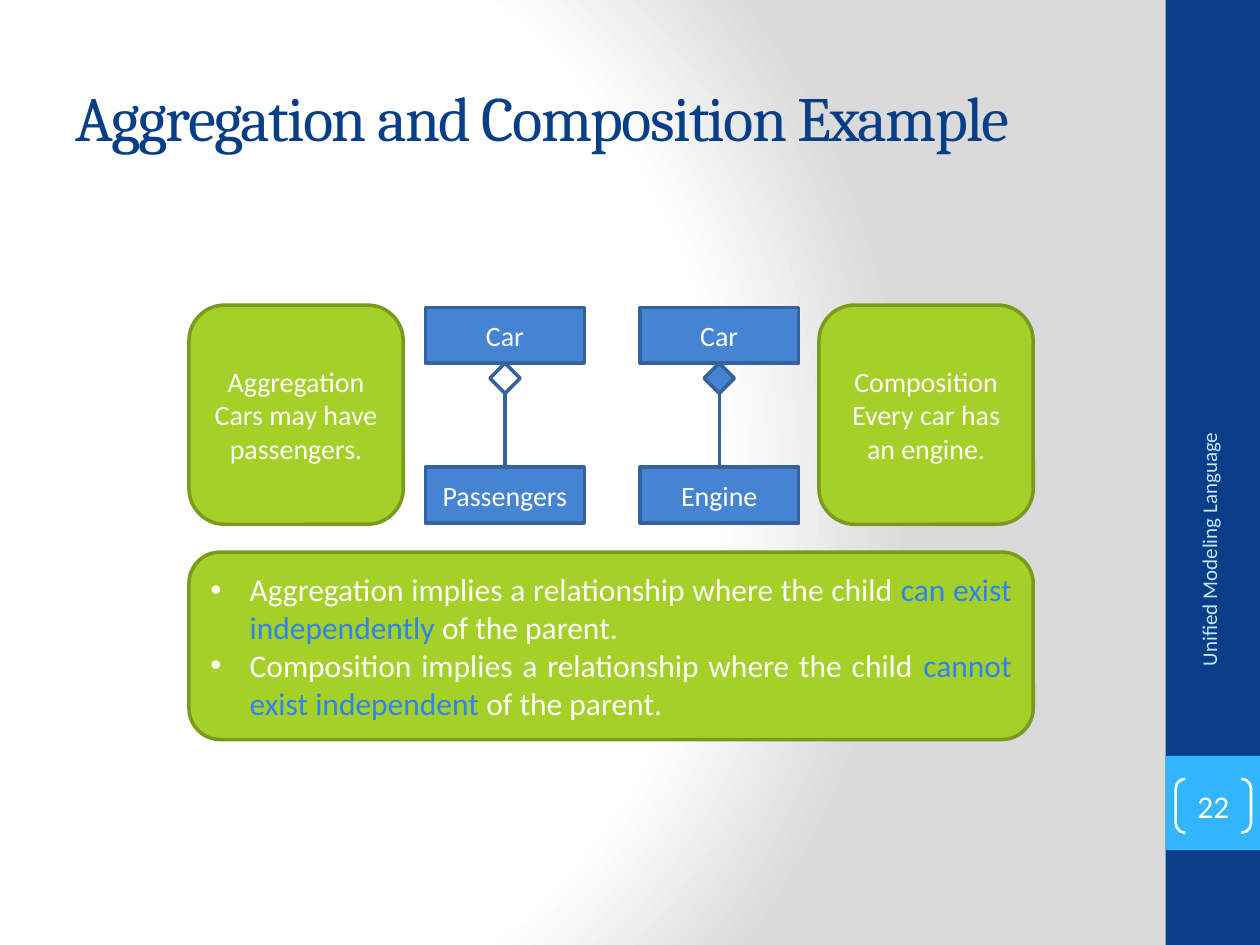
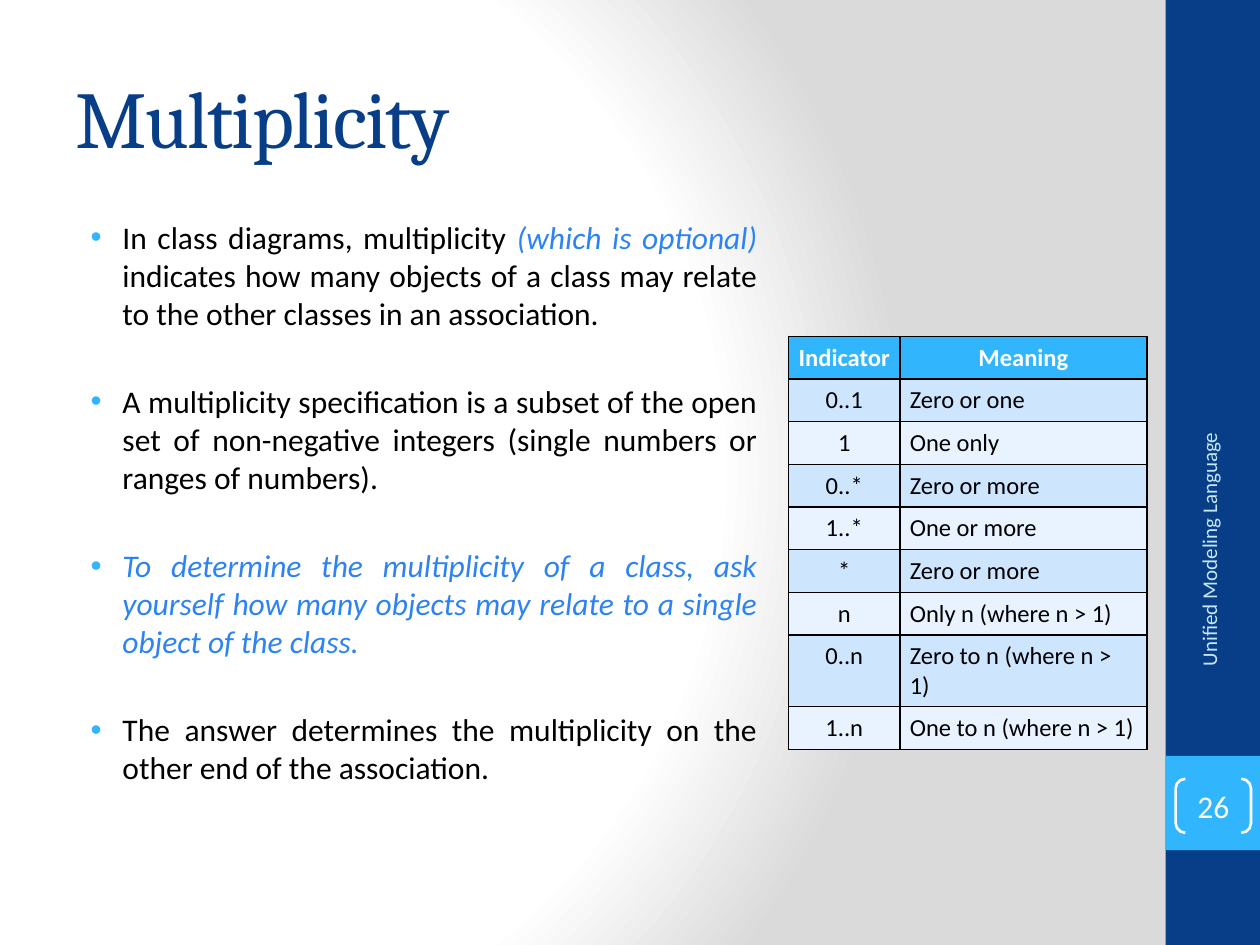
from dataclasses import dataclass

from lxml import etree
from pptx import Presentation
from pptx.dml.color import RGBColor
from pptx.enum.shapes import MSO_CONNECTOR, MSO_SHAPE
from pptx.enum.text import MSO_ANCHOR, MSO_AUTO_SIZE, PP_ALIGN
from pptx.oxml import parse_xml
from pptx.oxml.ns import qn
from pptx.util import Cm, Pt

RECTANGLE = MSO_SHAPE.RECTANGLE
ROUNDED = MSO_SHAPE.ROUNDED_RECTANGLE
DIAMOND = MSO_SHAPE.DIAMOND
BRACKETS = MSO_SHAPE.DOUBLE_BRACKET
STRAIGHT = MSO_CONNECTOR.STRAIGHT
MIDDLE = MSO_ANCHOR.MIDDLE
TOP = MSO_ANCHOR.TOP
LEFT, CENTER, RIGHT, JUSTIFY = PP_ALIGN.LEFT, PP_ALIGN.CENTER, PP_ALIGN.RIGHT, PP_ALIGN.JUSTIFY
NO_AUTOFIT = MSO_AUTO_SIZE.NONE

NAVY = RGBColor(0x07, 0x3E, 0x87)
SKY = RGBColor(0x31, 0xB6, 0xFD)
PALE_SKY = RGBColor(0xC6, 0xE7, 0xFC)
GREEN = RGBColor(0xA5, 0xD0, 0x28)
DARK_GREEN = RGBColor(0x7A, 0x9A, 0x1E)
BLUE = RGBColor(0x45, 0x84, 0xD3)
DARK_BLUE = RGBColor(0x33, 0x62, 0x9C)
HIGHLIGHT = RGBColor(0x2D, 0x83, 0xF4)
ROW_TINTS = (RGBColor(0xCE, 0xE5, 0xFE), RGBColor(0xE8, 0xF3, 0xFF))
WHITE = RGBColor(0xFF, 0xFF, 0xFF)
BLACK = RGBColor(0, 0, 0)

BODY_FONT = "Calibri"
TITLE_FONT = "Cambria"
DRAWING_NS = "http://schemas.openxmlformats.org/drawingml/2006/main"
BACKGROUND = f"""<a:gradFill xmlns:a="{DRAWING_NS}" rotWithShape="1"><a:gsLst>
<a:gs pos="0"><a:srgbClr val="FFFFFF"/></a:gs>
<a:gs pos="75000"><a:srgbClr val="FFFFFF"/></a:gs>
<a:gs pos="100000"><a:srgbClr val="DADADA"/></a:gs></a:gsLst>
<a:path path="circle"><a:fillToRect l="20000" t="50000" r="100000" b="50000"/></a:path>
</a:gradFill>"""


@dataclass(frozen=True)
class Area:
    left: float
    top: float
    width: float
    height: float

    def lengths(self) -> tuple:
        return Cm(self.left), Cm(self.top), Cm(self.width), Cm(self.height)


@dataclass(frozen=True)
class Span:
    text: str
    emphasis: bool = False


@dataclass(frozen=True)
class TextStyle:
    size: float
    color: RGBColor
    align: PP_ALIGN = CENTER
    anchor: MSO_ANCHOR = MIDDLE
    font: str = BODY_FONT
    bold: bool = False
    italic_emphasis: bool = False
    gap: float = 0


@dataclass(frozen=True)
class Bullet:
    margin: float
    hanging: float
    color: RGBColor


@dataclass(frozen=True)
class Relationship:
    heading: str
    description: str
    child: str
    callout_left: float
    class_left: float
    diamond_fill: RGBColor | None


CLASS_STYLE = TextStyle(16, WHITE)
CLASS_WIDTH, CLASS_HEIGHT = 3.2, 1.12
PARENT_TOP, CHILD_TOP = 6.2, 9.42
DIAMOND_SIZE = 0.61

RELATIONSHIPS = (
    Relationship("Aggregation", "Cars may have passengers.", "Passengers", 3.81, 8.58, None),
    Relationship("Composition", "Every car has an engine.", "Engine", 16.51, 12.9, BLUE),
)

IMPLICATIONS = (
    (Span("Aggregation implies a relationship where the child "),
     Span("can exist independently", True), Span(" of the parent.")),
    (Span("Composition implies a relationship where the child "),
     Span("cannot exist independent", True), Span(" of the parent.")),
)

MULTIPLICITY_POINTS = (
    (Span("In class diagrams, multiplicity "), Span("(which is optional)", True),
     Span(" indicates how many objects of a class may relate to the other classes "
          "in an association.")),
    (Span("A multiplicity specification is a subset of the open set of non-negative "
          "integers (single numbers or ranges of numbers)."),),
    (Span("To determine the multiplicity of a class, ask yourself how many objects may "
          "relate to a single object of the class.", True),),
    (Span("The answer determines the multiplicity on the other end of the association."),),
)

INDICATORS = (
    ("Indicator", "Meaning"),
    ("0..1", "Zero or one"),
    ("1", "One only"),
    ("0..*", "Zero or more"),
    ("1..*", "One or more"),
    ("*", "Zero or more"),
    ("n", "Only n (where n > 1)"),
    ("0..n", "Zero to n (where n > 1)"),
    ("1..n", "One to n (where n > 1)"),
)


def add_bullet(para, bullet: Bullet) -> None:
    properties = para._p.get_or_add_pPr()
    properties.set("marL", str(Cm(bullet.margin)))
    properties.set("indent", str(-Cm(bullet.hanging)))
    color = etree.SubElement(properties, qn("a:buClr"))
    etree.SubElement(color, qn("a:srgbClr"), val=str(bullet.color))
    etree.SubElement(properties, qn("a:buFont"), typeface="Arial")
    etree.SubElement(properties, qn("a:buChar"), char="•")


def write(frame, paragraphs: tuple, style: TextStyle, bullet: Bullet | None = None) -> None:
    frame.word_wrap = True
    frame.vertical_anchor = style.anchor
    for index, spans in enumerate(paragraphs):
        para = frame.paragraphs[0] if index == 0 else frame.add_paragraph()
        if bullet:
            add_bullet(para, bullet)
        para.alignment = style.align
        if index and style.gap:
            para.space_before = Pt(style.gap)
        para.font.name = style.font
        para.font.size = Pt(style.size)
        para.font.bold = style.bold
        para.font.color.rgb = style.color
        for span in spans:
            run = para.add_run()
            run.text = span.text
            if span.emphasis:
                run.font.color.rgb = HIGHLIGHT
                run.font.italic = style.italic_emphasis


def plain(*lines: str) -> tuple:
    return tuple((Span(line),) for line in lines)


def add_box(page, preset, area: Area, fill: RGBColor | None = None,
            outline: RGBColor | None = None, weight: float = 2):
    box = page.shapes.add_shape(preset, *area.lengths())
    box.shadow.inherit = False
    if fill is None:
        box.fill.background()
    else:
        box.fill.solid()
        box.fill.fore_color.rgb = fill
    if outline is None:
        box.line.fill.background()
    else:
        box.line.color.rgb = outline
        box.line.width = Pt(weight)
    return box


def add_text(page, area: Area, paragraphs: tuple, style: TextStyle,
             bullet: Bullet | None = None):
    box = page.shapes.add_textbox(*area.lengths())
    write(box.text_frame, paragraphs, style, bullet)
    return box


def add_page(deck, title: str, title_size: float, number: int):
    page = deck.slides.add_slide(deck.slide_layouts[5])
    add_box(page, RECTANGLE, Area(23.5, 0, 1.9, 19.05), NAVY)
    add_box(page, RECTANGLE, Area(23.5, 15.24, 1.9, 1.9), SKY)

    heading = page.shapes.title
    heading.left, heading.top, heading.width, heading.height = Area(1.27, 0.76, 21.16, 3.18).lengths()
    heading.text_frame.auto_size = NO_AUTOFIT
    write(heading.text_frame, plain(title), TextStyle(title_size, NAVY, LEFT, font=TITLE_FONT))
    heading.text_frame.paragraphs[0].runs[0]._r.get_or_add_rPr().set("spc", "-100")

    footer = add_text(page, Area(21.08, 11.25, 6.58, 1.02), plain("Unified Modeling Language"),
                      TextStyle(12, PALE_SKY, RIGHT))
    footer.rotation = 270

    brackets = add_box(page, BRACKETS, Area(23.7, 15.7, 1.52, 1.09), outline=WHITE, weight=1.5)
    brackets.adjustments[0] = 0.18
    frame = brackets.text_frame
    frame.margin_left = frame.margin_right = frame.margin_top = frame.margin_bottom = 0
    write(frame, plain(str(number)), TextStyle(18, WHITE))
    return page


def add_class(page, name: str, left: float, top: float):
    box = add_box(page, RECTANGLE, Area(left, top, CLASS_WIDTH, CLASS_HEIGHT), BLUE, DARK_BLUE)
    write(box.text_frame, plain(name), CLASS_STYLE)
    return box


def add_relationship(page, relationship: Relationship) -> None:
    left = relationship.class_left
    add_class(page, "Car", left, PARENT_TOP)
    child = add_class(page, relationship.child, left, CHILD_TOP)
    diamond_area = Area(left + (CLASS_WIDTH - DIAMOND_SIZE) / 2, PARENT_TOP + CLASS_HEIGHT,
                        DIAMOND_SIZE, DIAMOND_SIZE)
    diamond = add_box(page, DIAMOND, diamond_area, relationship.diamond_fill, DARK_BLUE)

    link = page.shapes.add_connector(STRAIGHT, 0, 0, 0, 0)
    link.begin_connect(diamond, 2)
    link.end_connect(child, 0)
    link.line.color.rgb = DARK_BLUE
    link.line.width = Pt(2)
    etree.SubElement(link._element.spPr, qn("a:effectLst"))

    callout = add_box(page, ROUNDED, Area(relationship.callout_left, 6.15, 4.32, 4.42),
                      GREEN, DARK_GREEN)
    write(callout.text_frame, plain(relationship.heading, relationship.description), CLASS_STYLE)


def add_borders(cell) -> None:
    properties = cell._tc.get_or_add_tcPr()
    for index, side in enumerate(("lnL", "lnR", "lnT", "lnB")):
        border = etree.Element(qn(f"a:{side}"), w=str(Pt(1)))
        fill = etree.SubElement(border, qn("a:solidFill"))
        etree.SubElement(fill, qn("a:srgbClr"), val=str(BLACK))
        properties.insert(index, border)


def add_indicator_table(page) -> None:
    row_height, column_widths = 0.86, (2.24, 4.98)
    area = Area(15.9, 6.78, sum(column_widths), row_height * len(INDICATORS))
    table = page.shapes.add_table(len(INDICATORS), len(column_widths), *area.lengths()).table
    for column, width in zip(table.columns, column_widths):
        column.width = Cm(width)
    for row_index, row in enumerate(INDICATORS):
        table.rows[row_index].height = Cm(row_height)
        header = row_index == 0
        for column_index, text in enumerate(row):
            cell = table.cell(row_index, column_index)
            cell.margin_left = cell.margin_right = Cm(0.2)
            cell.margin_top = cell.margin_bottom = Cm(0.13)
            cell.fill.solid()
            cell.fill.fore_color.rgb = SKY if header else ROW_TINTS[(row_index - 1) % 2]
            add_borders(cell)
            align = CENTER if header or column_index == 0 else LEFT
            style = TextStyle(14, WHITE if header else BLACK, align, TOP, bold=header)
            write(cell.text_frame, plain(text), style)


def build_example(deck) -> None:
    page = add_page(deck, "Aggregation and Composition Example", 36, 22)
    note = add_box(page, ROUNDED, Area(3.81, 11.13, 17.02, 3.78), GREEN, DARK_GREEN)
    write(note.text_frame, IMPLICATIONS, TextStyle(18, WHITE, JUSTIFY), Bullet(0.79, 0.79, WHITE))
    for relationship in RELATIONSHIPS:
        add_relationship(page, relationship)


def build_multiplicity(deck) -> None:
    page = add_page(deck, "Multiplicity", 46, 26)
    style = TextStyle(18, BLACK, JUSTIFY, TOP, italic_emphasis=True, gap=29)
    add_text(page, Area(1.27, 4.27, 14.25, 12.75), MULTIPLICITY_POINTS, style,
             Bullet(0.95, 0.64, SKY))
    add_indicator_table(page)


def main() -> None:
    deck = Presentation()
    deck.slide_width, deck.slide_height = Cm(25.4), Cm(19.05)
    master = deck.slide_master
    master.background.fill.gradient()
    gradient = master.element.find(".//" + qn("a:gradFill"))
    gradient.getparent().replace(gradient, parse_xml(BACKGROUND))
    build_example(deck)
    build_multiplicity(deck)
    deck.save("out.pptx")


if __name__ == "__main__":
    main()
